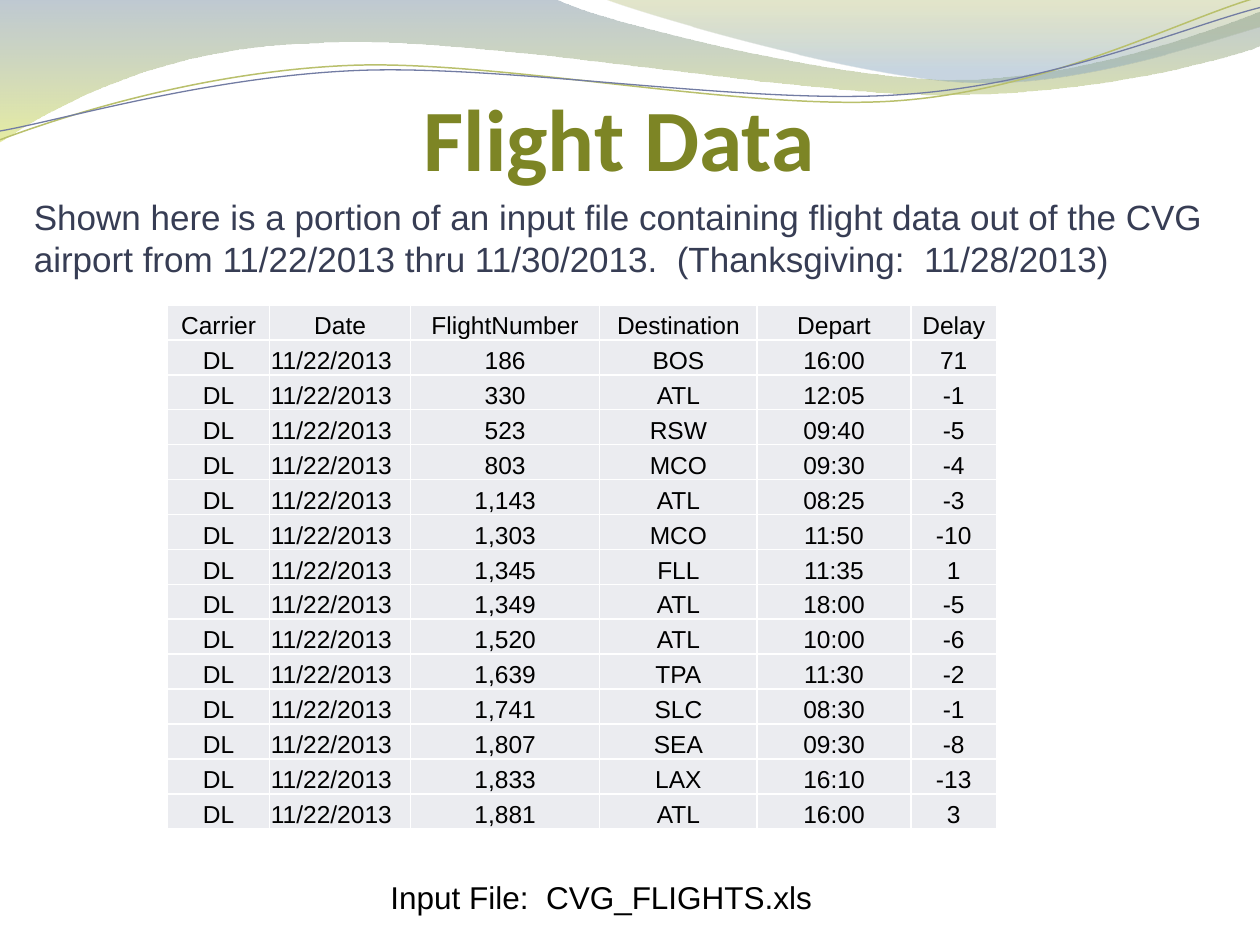
from dataclasses import dataclass
from typing import NamedTuple

from lxml import etree
from pptx import Presentation
from pptx.dml.color import RGBColor
from pptx.enum.text import MSO_ANCHOR, MSO_AUTO_SIZE, PP_ALIGN
from pptx.oxml.ns import qn
from pptx.util import Inches, Pt

CENTER, LEFT = PP_ALIGN.CENTER, PP_ALIGN.LEFT
TOP, BOTTOM = MSO_ANCHOR.TOP, MSO_ANCHOR.BOTTOM
FIT_SHAPE, NO_FIT = MSO_AUTO_SIZE.SHAPE_TO_FIT_TEXT, MSO_AUTO_SIZE.NONE


class Stop(NamedTuple):
    position: float
    color: str
    opacity: int


@dataclass
class Wave:
    """One point makes a straight segment, three a cubic curve."""
    start: tuple
    segments: list
    stops: tuple = ()
    line: str = ""
    weight: float = 0


@dataclass
class Label:
    text: str
    box: tuple
    size: int
    color: str
    font: str = "Arial"
    bold: bool = False
    align: PP_ALIGN = LEFT
    anchor: MSO_ANCHOR = TOP
    fit: MSO_AUTO_SIZE = FIT_SHAPE
    insets: tuple = (0.1, 0.05, 0.1, 0.05)


class Flight(NamedTuple):
    number: str
    destination: str
    depart: str
    delay: str


WAVES = [
    Wave((0, 0), [[(4.4, -0.01)],
                  [(4.76, 0.17), (6.64, 0.63), (7.58, 0.63)],
                  [(8.53, 0.63), (9.58, 0.26), (10, 0.09)],
                  [(10.01, 0.36)],
                  [(9.83, 0.44), (8.7, 0.76), (7.46, 0.75)],
                  [(6.22, 0.75), (3.82, 0.28), (2.57, 0.34)],
                  [(1.29, 0.36), (0.46, 0.83), (-0.01, 1.13)]],
         stops=(Stop(0, "72889B", 45), Stop(1, "D3DE57", 55))),
    Wave((4.79, -0.01), [[(5.09, 0.11), (6.82, 0.62), (7.69, 0.65)],
                         [(8.56, 0.69), (9.61, 0.32), (10, 0.21)],
                         [(10, 0)]],
         stops=(Stop(0, "A4AC50", 30), Stop(0.8, "84A3BD", 45))),
    Wave((0, 1.11), [[(0.48, 0.93), (1.58, 0.57), (2.77, 0.52)],
                     [(3.95, 0.47), (5.93, 0.89), (7.13, 0.8)],
                     [(8.33, 0.71), (9.38, 0.15), (9.98, -0.02)]],
         line="B9C06C", weight=0.85),
    Wave((0, 1.04), [[(0.47, 0.96), (1.64, 0.61), (2.83, 0.56)],
                     [(4.03, 0.51), (5.97, 0.84), (7.17, 0.75)],
                     [(8.36, 0.67), (9.41, 0.21), (10, 0.06)]],
         line="727CA3", weight=0.75),
]

LABELS = [
    Label("Flight Data", (0, 0.25, 9.83, 1.25), 50, "7D8525", "Calibri", True,
          CENTER, BOTTOM, NO_FIT, (0, 0.05, 0, 0)),
    Label("Shown here is a portion of an input file containing flight data out "
          "of the CVG airport from 11/22/2013 thru 11/30/2013.  "
          "(Thanksgiving:  11/28/2013)", (0.17, 1.5, 9.67, 0.77), 20, "373D54"),
    Label("Input File:  CVG_FLIGHTS.xls", (3, 6.92, 3.83, 0.42), 18, "000000"),
]

CARRIER, DATE = "DL", "11/22/2013"
HEADER = ("Carrier", "Date", "FlightNumber", "Destination", "Depart", "Delay")
COLUMN_WIDTHS = (0.81, 1.12, 1.5, 1.25, 1.22, 0.68)
TABLE_BOX = (1.33, 2.42, 6.58, 4.16)
FLIGHTS = [
    Flight("186", "BOS", "16:00", "71"),
    Flight("330", "ATL", "12:05", "-1"),
    Flight("523", "RSW", "09:40", "-5"),
    Flight("803", "MCO", "09:30", "-4"),
    Flight("1,143", "ATL", "08:25", "-3"),
    Flight("1,303", "MCO", "11:50", "-10"),
    Flight("1,345", "FLL", "11:35", "1"),
    Flight("1,349", "ATL", "18:00", "-5"),
    Flight("1,520", "ATL", "10:00", "-6"),
    Flight("1,639", "TPA", "11:30", "-2"),
    Flight("1,741", "SLC", "08:30", "-1"),
    Flight("1,807", "SEA", "09:30", "-8"),
    Flight("1,833", "LAX", "16:10", "-13"),
    Flight("1,881", "ATL", "16:00", "3"),
]


def rgb(color: str) -> RGBColor:
    return RGBColor.from_string(color)


def set_font(p, name: str, size: int, color: str, bold: bool = False) -> None:
    p.font.name, p.font.size, p.font.bold = name, Pt(size), bold
    p.font.color.rgb = rgb(color)


def bend_segments(sp, segments: list) -> None:
    """Join the straight steps of each three-point segment into a cubic curve."""
    steps = iter(list(sp.element.spPr.iter(qn("a:lnTo"))))
    for segment in segments:
        parts = [next(steps) for _ in segment]
        if len(parts) == 3:
            curve = etree.Element(qn("a:cubicBezTo"))
            parts[0].addprevious(curve)
            for part in parts:
                curve.append(part[0])
                part.getparent().remove(part)


def draw_wave(s, wave: Wave) -> None:
    points = [(Inches(x), Inches(y)) for segment in wave.segments for x, y in segment]
    builder = s.shapes.build_freeform(*map(Inches, wave.start))
    builder.add_line_segments(points, close=bool(wave.stops))
    sp = builder.convert_to_shape()
    bend_segments(sp, wave.segments)
    sp.shadow.inherit = False
    if not wave.stops:
        sp.fill.background()
        sp.line.color.rgb, sp.line.width = rgb(wave.line), Pt(wave.weight)
        return
    sp.line.fill.background()
    sp.fill.gradient()
    sp.fill.gradient_angle = 270
    for gradient_stop, stop in zip(sp.fill.gradient_stops, wave.stops):
        gradient_stop.position = stop.position
        gradient_stop.color.rgb = rgb(stop.color)
    # Opacity of each stop
    for clr, stop in zip(sp.element.spPr.iter(qn("a:srgbClr")), wave.stops):
        etree.SubElement(clr, qn("a:alpha"), val=str(stop.opacity * 1000))


def draw_label(s, label: Label) -> None:
    sp = s.shapes.add_textbox(*map(Inches, label.box))
    tf = sp.text_frame
    tf.word_wrap, tf.auto_size, tf.vertical_anchor = True, label.fit, label.anchor
    (tf.margin_left, tf.margin_top,
     tf.margin_right, tf.margin_bottom) = map(Inches, label.insets)
    p = tf.paragraphs[0]
    p.text, p.alignment = label.text, label.align
    set_font(p, label.font, label.size, label.color, label.bold)


def set_borders(cell, color: str, points: float) -> None:
    tcPr = cell._tc.get_or_add_tcPr()
    for index, side in enumerate(("lnL", "lnR", "lnT", "lnB")):
        ln = etree.Element(qn(f"a:{side}"), w=str(Pt(points)))
        fill = etree.SubElement(ln, qn("a:solidFill"))
        etree.SubElement(fill, qn("a:srgbClr"), val=color)
        tcPr.insert(index, ln)


def draw_table(s) -> None:
    rows = [HEADER] + [(CARRIER, DATE, *flight) for flight in FLIGHTS]
    table = s.shapes.add_table(len(rows), len(HEADER), *map(Inches, TABLE_BOX)).table
    table.first_row = table.horz_banding = False
    for column, width in zip(table.columns, COLUMN_WIDTHS):
        column.width = Inches(width)
    for i, row in enumerate(rows):
        table.rows[i].height = Inches(TABLE_BOX[3] / len(rows))
        for j, text in enumerate(row):
            cell = table.cell(i, j)
            cell.fill.solid()
            cell.fill.fore_color.rgb = rgb("EBECF0")
            set_borders(cell, "FFFFFF", 1)
            cell.vertical_anchor = BOTTOM
            cell.margin_left = cell.margin_right = cell.margin_top = Inches(0.01)
            cell.margin_bottom = 0
            p = cell.text_frame.paragraphs[0]
            p.text = text
            p.alignment = LEFT if text == DATE else CENTER
            set_font(p, "Arial", 14, "000000")


prs = Presentation()
prs.slide_width, prs.slide_height = Inches(10), Inches(7.5)
s = prs.slides.add_slide(prs.slide_layouts[6])

# Wave decoration along the top
for wave in WAVES:
    draw_wave(s, wave)

# Title, introduction and file name
for label in LABELS:
    draw_label(s, label)

# Flight table
draw_table(s)

prs.save("out.pptx")
